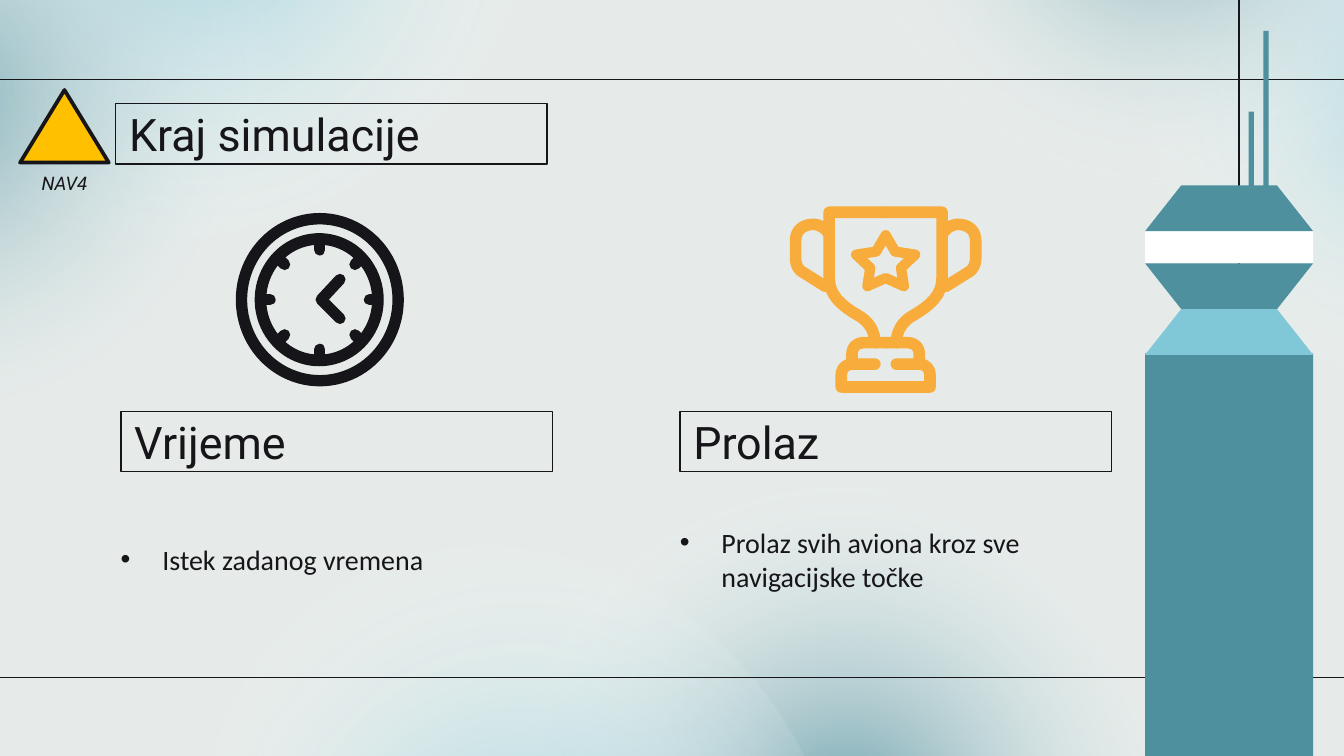
from math import cos, pi, sin

from lxml.etree import SubElement
from pptx import Presentation
from pptx.dml.color import RGBColor
from pptx.enum.shapes import MSO_CONNECTOR as Link, MSO_SHAPE as Kind
from pptx.enum.text import MSO_ANCHOR as Anchor, MSO_AUTO_SIZE as Fit, PP_ALIGN as Align
from pptx.oxml import parse_xml
from pptx.oxml.ns import nsdecls, qn
from pptx.util import Inches, Pt

INK = RGBColor(0x16, 0x15, 0x19)
PALE = RGBColor(0xE6, 0xEB, 0xE9)
TEAL = RGBColor(0x4E, 0x90, 0x9E)
SKY = RGBColor(0x80, 0xC8, 0xD8)
GOLD = RGBColor(0xF7, 0xAC, 0x3B)
AMBER = RGBColor(0xFF, 0xC0, 0x00)
WHITE = RGBColor(0xFF, 0xFF, 0xFF)
WIDE = 10
HIGH = WIDE * 9 / 16


def paint(shape, fill=None, line=None, width=0.75):
    shape.shadow.inherit = False
    if fill is None:
        shape.fill.background()
    else:
        shape.fill.solid()
        shape.fill.fore_color.rgb = fill
    if line is None:
        shape.line.fill.background()
    else:
        shape.line.color.rgb = line
        shape.line.width = Pt(width)


def add_form(slide, kind, box, fill=None, line=None, width=0.75, adjust=None, turn=0):
    shape = slide.shapes.add_shape(kind, *map(Inches, box))
    paint(shape, fill, line, width)
    if adjust is not None:
        shape.adjustments[0] = adjust
    shape.rotation = turn
    return shape


def put_text(shape, text, size=24, font="Roboto", italic=False, align=Align.LEFT, bullet=False):
    frame = shape.text_frame
    frame.word_wrap = True
    frame.auto_size = Fit.NONE
    frame.vertical_anchor = Anchor.MIDDLE
    frame.margin_left = frame.margin_right = Inches(0.1)
    frame.margin_top = frame.margin_bottom = Inches(0.1)
    para = frame.paragraphs[0]
    para.alignment = align
    run = para.add_run()
    run.text = text
    run.font.size = Pt(size)
    run.font.name = font
    run.font.italic = italic
    run.font.color.rgb = INK
    if bullet:
        props = para._p.get_or_add_pPr()
        props.set("marL", str(Inches(0.31)))
        props.set("indent", str(-Inches(0.31)))
        SubElement(props, qn("a:buFont"), typeface="Arial")
        SubElement(props, qn("a:buChar"), char="•")


def add_text(slide, text, box, **style):
    put_text(slide.shapes.add_textbox(*map(Inches, box)), text, **style)


def add_head(slide, text, left, top):
    put_text(add_form(slide, Kind.RECTANGLE, (left, top, 3.21, 0.45), line=INK), text)


def add_line(slide, *ends):
    line = slide.shapes.add_connector(Link.STRAIGHT, *map(Inches, ends))
    line.line.color.rgb = INK
    line.line.width = Pt(0.75)
    SubElement(line._element.spPr, qn("a:effectLst"))


def add_glow(slide, left, top, color, alpha, turn):
    glow = add_form(slide, Kind.OVAL, (left, top, 5.22, 4.6), turn=turn)
    stops = "".join(
        f'<a:gs pos="{spot}000"><a:srgbClr val="{tint}"><a:alpha val="{part}000"/></a:srgbClr></a:gs>'
        for spot, tint, part in ((0, color, alpha), (58, WHITE, 0), (100, WHITE, 0))
    )
    grad = parse_xml(
        f'<a:gradFill {nsdecls("a")} rotWithShape="0"><a:gsLst>{stops}</a:gsLst><a:path path="circle">'
        '<a:fillToRect l="50000" t="50000" r="50000" b="50000"/></a:path></a:gradFill>'
    )
    props = glow._element.spPr
    props.replace(props.find(qn("a:noFill")), grad)


def round_line(shape):
    line = shape.line._get_or_add_ln()
    line.set("cap", "rnd")
    SubElement(line, qn("a:round"))


def bend(start, curve):
    nodes = [start, curve[:2], curve[2:4], curve[4:]]
    for step in range(1, 9):
        t = step / 8
        parts = ((1 - t) ** 3, 3 * t * (1 - t) ** 2, 3 * t * t * (1 - t), t ** 3)
        yield tuple(sum(p * n[axis] for p, n in zip(parts, nodes)) for axis in (0, 1))


def trace(moves):
    points = [moves[0]]
    for move in moves[1:]:
        points += [move] if len(move) == 2 else bend(points[-1], move)
    return points


def add_strokes(slide, paths, color, width):
    paths = [[(Inches(x), Inches(y)) for x, y in path] for path in paths]
    pen = slide.shapes.build_freeform(*paths[0][0])
    for path in paths:
        if path is not paths[0]:
            pen.move_to(*path[0])
        pen.add_line_segments(path[1:], close=False)
    shape = pen.convert_to_shape()
    paint(shape, line=color, width=width)
    round_line(shape)


def draw_clock(slide):
    add_form(slide, Kind.DONUT, (1.76, 1.59, 1.24, 1.28), INK, INK, adjust=0.06)
    add_form(slide, Kind.DONUT, (1.9, 1.74, 0.95, 0.98), INK, INK, adjust=0.08)
    x, y = 2.38, 2.23
    ticks = [
        [(x + r * cos(k * pi / 4), y + r * sin(k * pi / 4)) for r in (0.37, 0.42)]
        for k in range(8)
    ]
    hands = [(2.53, 2.08), (2.39, 2.23), (2.53, 2.37)]
    add_strokes(slide, ticks + [hands], INK, 6)


def draw_cup(slide):
    mid = 6.59
    halves = [
        [(mid, 1.58), (7.01, 1.58), (7.01, 2.07),
         (7.01, 2.19, 6.93, 2.27, 6.79, 2.35), (6.72, 2.39, 6.67, 2.46, 6.67, 2.55)],
        [(7.02, 1.73), (7.05, 1.69, 7.09, 1.67, 7.13, 1.67),
         (7.21, 1.67, 7.26, 1.72, 7.26, 1.79), (7.26, 1.92),
         (7.26, 1.97, 7.24, 2.01, 7.2, 2.03), (7.04, 2.13)],
        [(mid, 2.55), (6.75, 2.55), (6.81, 2.55, 6.84, 2.59, 6.84, 2.63), (6.84, 2.71)],
        [(6.67, 2.71), (6.84, 2.71), (6.89, 2.71, 6.92, 2.75, 6.92, 2.79),
         (6.92, 2.88), (mid, 2.88)],
    ]
    right = [trace(half) for half in halves]
    left = [[(2 * mid - x, y) for x, y in path] for path in right]
    add_strokes(slide, right + left, GOLD, 6.2)
    star = add_form(slide, Kind.STAR_5_POINT, (6.37, 1.75, 0.44, 0.38), None, GOLD, 5.5, 0.26)
    round_line(star)


def draw_tower(slide):
    left, wide = 8.52, 1.25
    for top, base, color in ((1.72, 1.96, WHITE), (2.63, HIGH, TEAL)):
        add_form(slide, Kind.RECTANGLE, (left, top, wide, base - top), color)
    for top, color, turn in ((1.96, TEAL, 180), (1.38, TEAL, 0), (2.3, SKY, 0)):
        add_form(slide, Kind.TRAPEZOID, (left, top, wide, 0.34), color, adjust=0.79, turn=turn)
    for x, top in ((9.4, 0.23), (9.29, 0.83)):
        add_form(slide, Kind.RECTANGLE, (x, top, 0.04, 1.54 - top), TEAL)


def draw_back(slide):
    slide.background.fill.solid()
    slide.background.fill.fore_color.rgb = PALE
    for glow in (
        (3.68, 3.78, TEAL, 81, 237.1), (1.27, 4.28, SKY, 68, 237.1),
        (8.17, -1.68, SKY, 68, 348.6), (6.05, -3.18, TEAL, 68, 348.6),
        (-1.14, -2.91, SKY, 68, 149), (-3.15, -1.55, TEAL, 68, 149),
    ):
        add_glow(slide, *glow)
    add_line(slide, 9.22, 0, 9.22, HIGH)
    for y in (0.59, 5.04):
        add_line(slide, 0, y, WIDE, y)


def set_title(slide, text):
    title = slide.shapes.title
    title.left, title.top, title.width, title.height = map(Inches, (0.86, 0.77, 3.21, 0.45))
    title.fill.background()
    title.line.color.rgb = INK
    title.line.width = Pt(0.75)
    put_text(title, text)
    title.element.getparent().append(title.element)


def main():
    deck = Presentation()
    deck.slide_width, deck.slide_height = Inches(WIDE), Inches(HIGH)
    slide = deck.slides.add_slide(deck.slide_layouts[5])
    draw_back(slide)
    set_title(slide, "Kraj simulacije")
    for left, head, body in (
        (0.9, "Vrijeme", "Istek zadanog vremena"),
        (5.06, "Prolaz", "Prolaz svih aviona kroz sve navigacijske točke"),
    ):
        add_head(slide, head, left, 3.06)
        add_text(slide, body, (left - 0.1, 3.51, 3.56, 1.3), size=15, font="Calibri", bullet=True)
    add_form(slide, Kind.ISOSCELES_TRIANGLE, (0.15, 0.67, 0.66, 0.54), AMBER, INK, 2)
    add_text(slide, "NAV4", (0.08, 1.14, 0.8, 0.45), size=10, italic=True, align=Align.CENTER)
    draw_clock(slide)
    draw_cup(slide)
    draw_tower(slide)
    deck.save("out.pptx")


if __name__ == "__main__":
    main()
